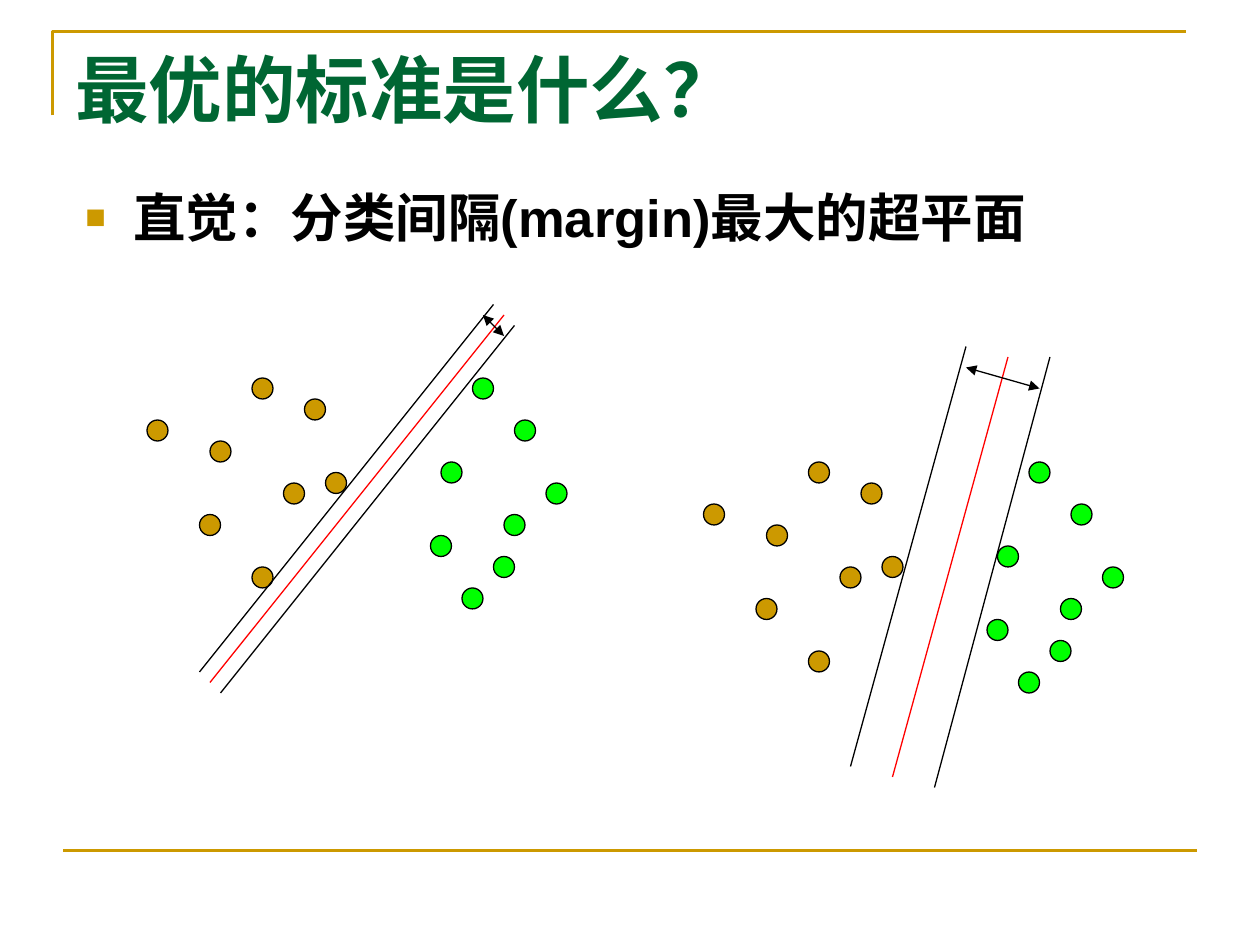
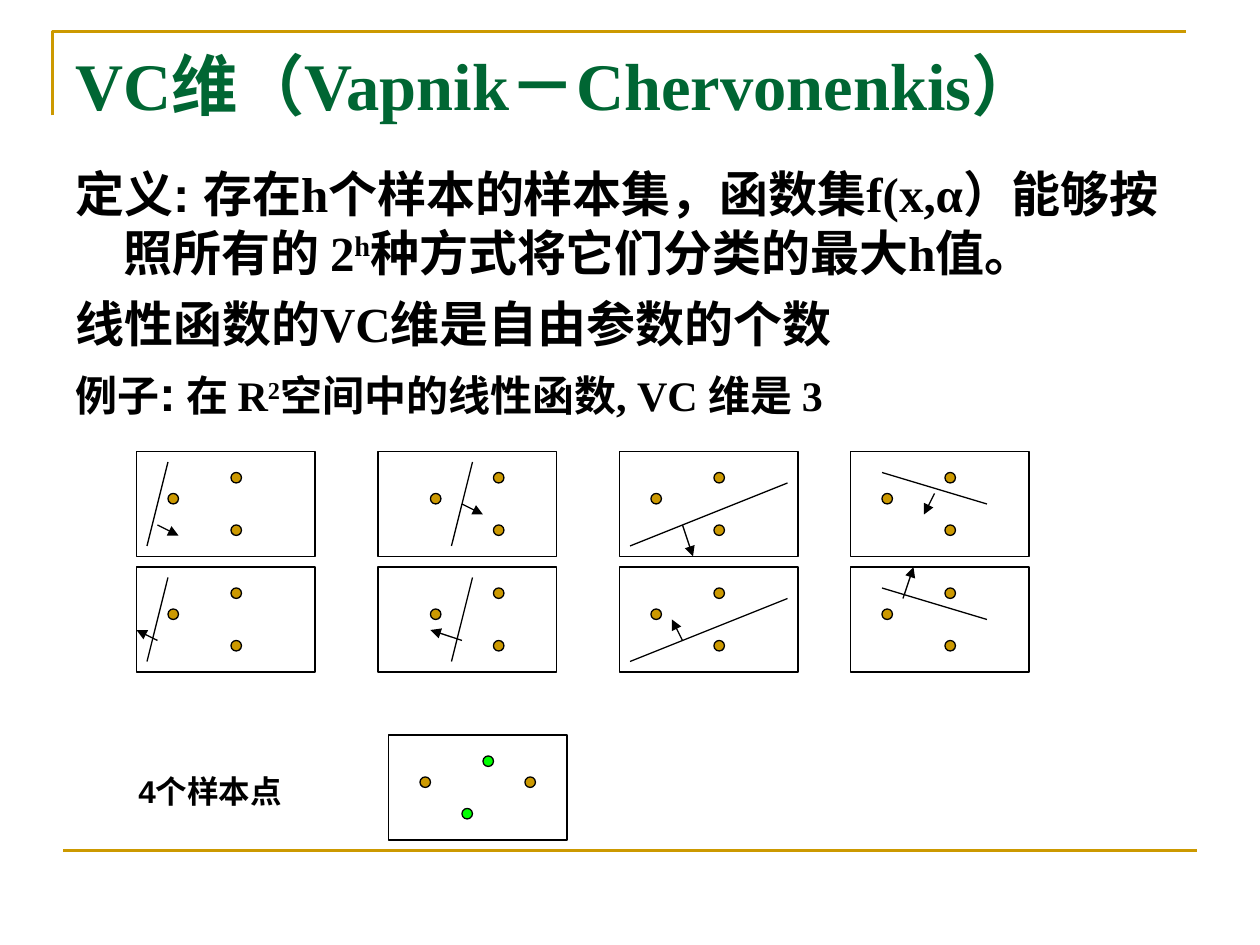
from lxml import etree
from pptx import Presentation
from pptx.dml.color import RGBColor
from pptx.enum.shapes import MSO_CONNECTOR, MSO_SHAPE
from pptx.enum.text import MSO_ANCHOR
from pptx.oxml.ns import qn
from pptx.util import Inches, Pt

STRAIGHT = MSO_CONNECTOR.STRAIGHT
OVAL, RECT = MSO_SHAPE.OVAL, MSO_SHAPE.RECTANGLE
TOP = MSO_ANCHOR.TOP

GOLD = RGBColor(0xCC, 0x99, 0x00)
LIME = RGBColor(0x00, 0xFF, 0x00)
GREEN = RGBColor(0x00, 0x66, 0x33)
RED = RGBColor(0xFF, 0x00, 0x00)
BLACK = RGBColor(0x00, 0x00, 0x00)
WHITE = RGBColor(0xFF, 0xFF, 0xFF)
SANS, SERIF = "Arial", "Times New Roman"

# Diagrams lie on a grid of twelfths of an inch; all their coordinates count grid steps.
GRID = 12

# Runs are (text, size, font, superscript); paragraphs are (space before, runs).
MARGIN_TITLE = ("最优的标准是什么？", 42)
MARGIN_BODY = [(0, [("直觉：分类间隔(margin)最大的超平面", 30, SANS, False)])]

VC_TITLE = ("VC维（Vapnik－Chervonenkis）", 38)
VC_BODY = [
    (0, [("定义: ", 28, SANS, False),
         ("存在h个样本的样本集，函数集f(x,α）能够按照所有的 2", 28, SERIF, False),
         ("h", 28, SERIF, True),
         ("种方式将它们分类的最大h值。", 28, SERIF, False)]),
    (7, [("线性函数的VC维是自由参数的个数", 28, SERIF, False)]),
    (6, [("例子", 24, SERIF, False),
         (":", 28, SANS, False),
         (" 在 R", 24, SERIF, False),
         ("2", 24, SERIF, True),
         ("空间中的线性函数, VC 维是 3", 24, SERIF, False)]),
]
FOUR_POINTS_LABEL = [(0, [("4个样本点", 18, SANS, False)])]

# Both margin plots show the same samples, the second one shifted.
SAMPLES = [
    (GOLD, [(14, 40), (24, 36), (29, 38), (20, 42),
            (27, 46), (19, 49), (31, 45), (24, 54)]),
    (LIME, [(45, 36), (42, 44), (49, 40), (48, 49),
            (41, 51), (52, 46), (47, 53), (44, 56)]),
]
MARGIN_PLOTS = [
    {"shift": (53, 8),
     "bounds": [((92, 33), (81, 73)), ((100, 34), (89, 75))],
     "plane": ((85, 74), (96, 34)),
     "width": ((92, 35), (99, 37))},
    {"shift": (0, 0),
     "bounds": [((19, 64), (47, 29)), ((49, 31), (21, 66))],
     "plane": ((20, 65), (48, 30)),
     "width": ((46, 30), (48, 32))},
]

PANEL_SIZE = (17, 10)
PANEL_TOPS = (43, 54)
TRIO = [(0, 4), (6, 2), (6, 7)]
# Positions in a column are relative to its panels; one arrow for each row.
SPLITS = [
    {"left": 13, "trio": 3, "line": ((3, 1), (1, 9)),
     "arrows": [((2, 7), (4, 8)), ((2, 7), (0, 6))]},
    {"left": 36, "trio": 5, "line": ((9, 1), (7, 9)),
     "arrows": [((8, 5), (10, 6)), ((8, 7), (5, 6))]},
    {"left": 59, "trio": 3, "line": ((16, 3), (1, 9)),
     "arrows": [((6, 7), (7, 10)), ((6, 7), (5, 5))]},
    {"left": 81, "trio": 3, "line": ((13, 5), (3, 2)),
     "arrows": [((8, 4), (7, 6)), ((5, 3), (6, 0))]},
]
FOUR_PANEL = (37, 70)
FOUR_POINTS = [(GOLD, (3, 4)), (LIME, (9, 2)), (LIME, (7, 7)), (GOLD, (13, 4))]


def steps(n):
    return Inches(n / GRID)


def move(point, origin):
    return point[0] + origin[0], point[1] + origin[1]


def add_line(shapes, start, end, color=BLACK, width=0.75, heads=()):
    """Straight line in grid steps; heads may name headEnd and tailEnd."""
    c = shapes.add_connector(STRAIGHT, *map(steps, start + end))
    c.line.color.rgb = color
    c.line.width = Pt(width)
    ln = c.line._get_or_add_ln()
    for head in heads:
        etree.SubElement(ln, qn("a:" + head), type="triangle")
    etree.SubElement(c._element.spPr, qn("a:effectLst"))


def add_figure(shapes, kind, pos, size, fill):
    sp = shapes.add_shape(kind, *map(steps, pos + size))
    sp.shadow.inherit = False
    sp.fill.solid()
    sp.fill.fore_color.rgb = fill
    sp.line.color.rgb = BLACK
    sp.line.width = Pt(0.75)


def add_dot(shapes, pos, size, fill):
    add_figure(shapes, OVAL, pos, (size, size), fill)


def add_bullet(p):
    pPr = p._p.get_or_add_pPr()
    color = etree.SubElement(pPr, qn("a:buClr"))
    etree.SubElement(color, qn("a:srgbClr"), val=str(GOLD))
    etree.SubElement(pPr, qn("a:buSzPct"), val="65000")
    etree.SubElement(pPr, qn("a:buFont"), typeface=SANS)
    etree.SubElement(pPr, qn("a:buChar"), char="■")


def add_text(shapes, box, paragraphs, color=BLACK, hanging=False, bullet=False):
    tf = shapes.add_textbox(*map(Inches, box)).text_frame
    tf.word_wrap = True
    tf.vertical_anchor = TOP
    for i, (before, runs) in enumerate(paragraphs):
        p = tf.add_paragraph() if i else tf.paragraphs[0]
        if hanging:
            pPr = p._p.get_or_add_pPr()
            pPr.set("marL", str(Inches(0.38)))
            pPr.set("indent", str(-Inches(0.38)))
        if bullet:
            add_bullet(p)
        p.space_before = Pt(before)
        for text, size, font, superscript in runs:
            r = p.add_run()
            r.text = text
            r.font.size = Pt(size)
            r.font.name = font
            r.font.bold = True
            r.font.color.rgb = color
            if superscript:
                r._r.get_or_add_rPr().set("baseline", "30000")


def add_slide(prs, title):
    """Blank slide with the gold corner, the bottom rule and a title."""
    shapes = prs.slides.add_slide(prs.slide_layouts[6]).shapes
    corner = shapes.build_freeform(steps(5), steps(11))
    corner.add_line_segments([(steps(5), steps(3)), (steps(113), steps(3))], close=False)
    sp = corner.convert_to_shape()
    sp.shadow.inherit = False
    sp.fill.background()
    sp.line.color.rgb = GOLD
    sp.line.width = Pt(1.5)
    add_line(shapes, (6, 81), (114, 81), GOLD, 1.5)
    text, size = title
    add_text(shapes, (0.5, 0.3, 9, 0.8), [(0, [(text, size, SERIF, False)])], GREEN)
    return shapes


def add_margin_plot(shapes, plot):
    group = shapes.add_group_shape().shapes
    for color, points in SAMPLES:
        for point in points:
            add_dot(group, move(point, plot["shift"]), 2, color)
    for bound in plot["bounds"]:
        add_line(group, *bound)
    add_line(group, *plot["plane"], color=RED)
    add_line(group, *plot["width"], heads=("headEnd", "tailEnd"))


def add_split_panel(shapes, split, row):
    """One way of separating three samples, with its arrow to the positive side."""
    origin = (split["left"], PANEL_TOPS[row])
    add_figure(shapes, RECT, origin, PANEL_SIZE, WHITE)
    for point in TRIO:
        add_dot(shapes, move(move(point, (split["trio"], 0)), origin), 1, GOLD)
    add_line(shapes, *(move(end, origin) for end in split["line"]))
    add_line(shapes, *(move(end, origin) for end in split["arrows"][row]),
             heads=("tailEnd",))


def build_margin_slide(prs):
    shapes = add_slide(prs, MARGIN_TITLE)
    add_text(shapes, (0.58, 1.42, 7.75, 1.1), MARGIN_BODY, hanging=True, bullet=True)
    for plot in MARGIN_PLOTS:
        add_margin_plot(shapes, plot)


def build_vc_slide(prs):
    shapes = add_slide(prs, VC_TITLE)
    add_text(shapes, (0.5, 1.25, 9, 2.16), VC_BODY, hanging=True)
    group = shapes.add_group_shape().shapes
    for row in range(len(PANEL_TOPS)):
        for split in SPLITS:
            add_split_panel(group, split, row)
    group = shapes.add_group_shape().shapes
    add_figure(group, RECT, FOUR_PANEL, PANEL_SIZE, WHITE)
    for color, point in FOUR_POINTS:
        add_dot(group, move(point, FOUR_PANEL), 1, color)
    add_text(group, (1, 6.08, 1.83, 0.4), FOUR_POINTS_LABEL)


def main():
    prs = Presentation()
    prs.slide_width, prs.slide_height = Inches(10), Inches(7.5)
    build_margin_slide(prs)
    build_vc_slide(prs)
    prs.save("out.pptx")


if __name__ == "__main__":
    main()
